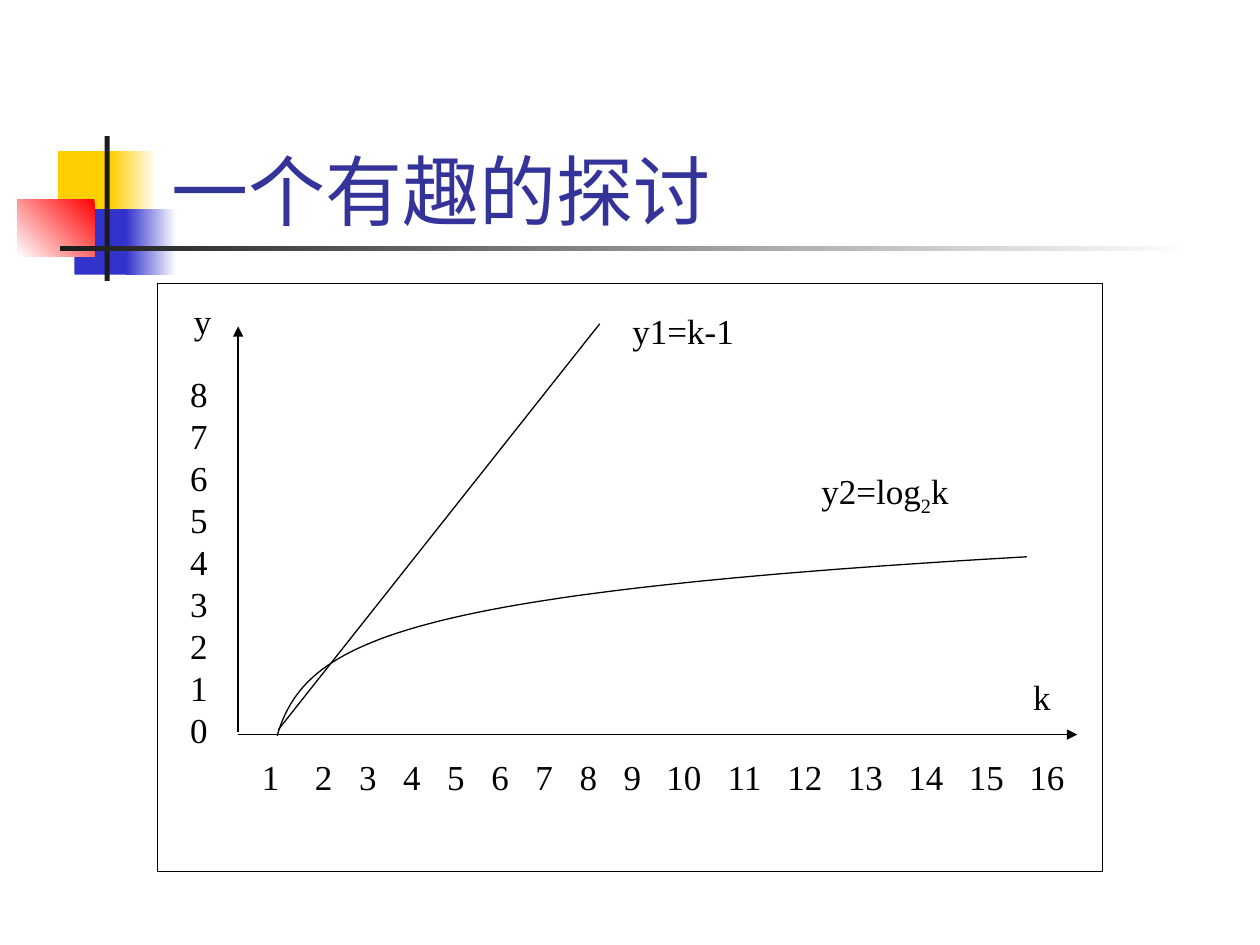
"""Build a slide comparing linear and logarithmic growth curves."""
import math

from lxml import etree
from pptx import Presentation
from pptx.dml.color import RGBColor
from pptx.enum import shapes, text
from pptx.oxml import ns
from pptx.util import Inches, Pt

WHITE = RGBColor(0xFF, 0xFF, 0xFF)
BLACK = RGBColor(0x00, 0x00, 0x00)
INK = RGBColor(0x1C, 0x1C, 0x1C)
YELLOW = RGBColor(0xFF, 0xCF, 0x01)
BLUE = RGBColor(0x33, 0x33, 0xCC)
RED = RGBColor(0xFF, 0x00, 0x00)
NAVY = RGBColor(0x33, 0x33, 0x99)
FONT = "Times New Roman"
HAIRLINE = Pt(0.75)
LABEL_SIZE, LABEL_PITCH, TITLE_SIZE = 20, 24, 44
RECT = shapes.MSO_SHAPE.RECTANGLE


def add_text(box, lines, size=LABEL_SIZE, color=BLACK, pitch=LABEL_PITCH):
    tb = s.shapes.add_textbox(*map(Inches, box))
    tf = tb.text_frame
    tf.word_wrap = True
    for i, runs in enumerate(lines):
        p = tf.add_paragraph() if i else tf.paragraphs[0]
        p.line_spacing = Pt(pitch) if pitch else None
        for t in runs:
            r = p.add_run()
            r.text = t
            r.font.size, r.font.name = Pt(size), FONT
            r.font.color.rgb = color
    return tb


def add_line(start, end, arrow=False):
    c = s.shapes.add_connector(shapes.MSO_CONNECTOR.STRAIGHT, *map(Inches, start + end))
    c.line.color.rgb, c.line.width = BLACK, HAIRLINE
    if arrow:
        etree.SubElement(c.line._get_or_add_ln(), ns.qn("a:tailEnd"), type="triangle")
    etree.SubElement(c._element.spPr, ns.qn("a:effectLst"))


prs = Presentation()
prs.slide_width, prs.slide_height = Inches(10), Inches(7.5)
s = prs.slides.add_slide(prs.slide_layouts[6])

ornaments = [
    ((0.46, 1.2, 0.48, 0.52), [YELLOW], 0),
    ((0.88, 1.2, 0.36, 0.52), [WHITE, YELLOW], 180),
    ((0.59, 1.66, 0.46, 0.52), [BLUE], 0),
    ((1, 1.66, 0.4, 0.52), [WHITE, BLUE], 180),
    ((0.14, 1.58, 0.61, 0.46), [RED, WHITE], 225),
    ((0.83, 1.08, 0.04, 1.15), [INK], 0),
    ((0.48, 1.95, 9, 0.04), [WHITE, INK], 180),
]
for box, colors, angle in ornaments:
    sp = s.shapes.add_shape(RECT, *map(Inches, box))
    sp.shadow.inherit = False
    sp.line.fill.background()
    if len(colors) == 1:
        sp.fill.solid()
        sp.fill.fore_color.rgb = colors[0]
    else:
        sp.fill.gradient()
        sp.fill.gradient_angle = angle
        for position, color in enumerate(colors):
            stop = sp.fill.gradient_stops[position]
            stop.color.rgb, stop.position = color, position

title = add_text((1.26, 0.67, 8.52, 1.25), [["一个有趣的探讨"]], TITLE_SIZE, NAVY, None)
title.text_frame.vertical_anchor = text.MSO_ANCHOR.BOTTOM

frame = s.shapes.add_shape(RECT, *map(Inches, (1.25, 2.25, 7.5, 4.67)))
frame.shadow.inherit = False
frame.fill.background()
frame.line.color.rgb, frame.line.width = BLACK, HAIRLINE

axis_x, axis_y = 1.89, 5.83
add_line((axis_x, axis_y), (8.55, axis_y), arrow=True)
add_line((axis_x, 5.81), (axis_x, 2.59), arrow=True)
add_line((2.21, 5.79), (4.76, 2.57))

linear_label = add_text((4.92, 2.41, 1.5, 0.59), [["y1=k-1"]])
log_label = add_text((6.42, 3.67, 1.58, 0.5), [["y2=log", "2", "k"]])
for label in (linear_label, log_label):
    label.fill.solid()
    label.fill.fore_color.rgb = WHITE
log_label.text_frame.margin_top = Inches(0.1)
log_base = log_label.text_frame.paragraphs[0].runs[1]
log_base.font._element.set("baseline", "-25000")

k_values = range(1, 17)
k_axis = add_text((1.57, 5.95, 7.02, 0.96), [["".join(f"\t{k}" for k in k_values)]])
p = k_axis.text_frame.paragraphs[0]
tabs = etree.SubElement(p._p.get_or_add_pPr(), ns.qn("a:tabLst"))
for k in k_values:
    if k == 1:
        tick = 0.48
    elif k < 10:
        tick = 0.9 + 0.35 * (k - 2)
    else:
        tick = 3.76 + 0.48 * (k - 10)
    etree.SubElement(tabs, ns.qn("a:tab"), pos=str(Inches(tick)), algn="ctr")

add_text((1.41, 2.91, 0.48, 3.2), [[str(y)] for y in range(8, -1, -1)])
for name, left, top in [("k", 8.1, 5.31), ("y", 1.44, 2.33)]:
    add_text((left, top, 0.48, 0.64), [[name]])

curve_left, curve_bottom, curve_width = 2.2, 5.84, 5.95
rise_per_doubling, steepness, segments = 0.24, 10, 60
points = []
for i in range(segments + 1):
    dx = curve_width * (i / segments) ** 2
    dy = rise_per_doubling * math.log2(1 + steepness * dx)
    points.append((Inches(curve_left + dx), Inches(curve_bottom - dy)))
builder = s.shapes.build_freeform(*points[0])
builder.add_line_segments(points[1:], close=False)
log_curve = builder.convert_to_shape()
log_curve.shadow.inherit = False
log_curve.fill.background()
log_curve.line.color.rgb, log_curve.line.width = BLACK, HAIRLINE

prs.save("out.pptx")
